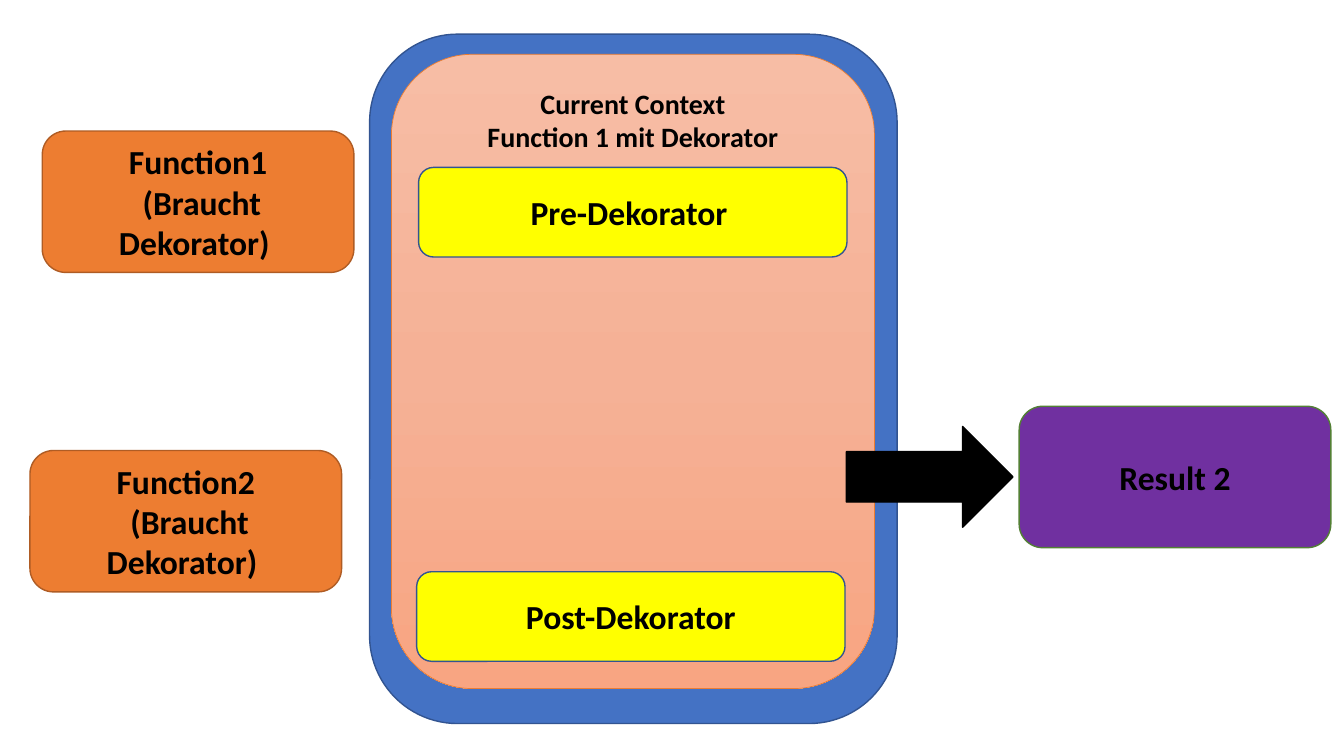
import copy

import pptx
import pptx.util
import pptx.dml.color
import pptx.enum.shapes
import pptx.enum.text

Pt = pptx.util.Pt
KIND = pptx.enum.shapes.MSO_SHAPE
ANCHOR = pptx.enum.text.MSO_ANCHOR
CENTER = pptx.enum.text.PP_ALIGN.CENTER

COLORS = {
    "blue": "4472C4", "navy": "325491", "orange": "ED7D31", "brown": "AF5C24",
    "yellow": "FFFF00", "purple": "7030A0", "green": "538035", "black": "000000",
    "pale": "F7BDA5", "mid": "F5B196", "deep": "F8A582",
}


def color(name):
    """Return the named colour."""
    return pptx.dml.color.RGBColor.from_string(COLORS[name])


def add_box(kind, box, fill, line, text="", size=24):
    """Add a filled, outlined shape with centred bold text."""
    shape = slide.shapes.add_shape(kind, *[Pt(n) for n in box])
    shape.shadow.inherit = False
    shape.fill.solid()
    shape.fill.fore_color.rgb = color(fill)
    shape.line.color.rgb = color(line)
    shape.line.width = Pt(1)
    if text:
        frame = shape.text_frame
        frame.word_wrap = True
        frame.vertical_anchor = ANCHOR.MIDDLE
        frame.text = text
        for para in frame.paragraphs:
            para.alignment = CENTER
            para.font.name = "Calibri"
            para.font.size = Pt(size)
            para.font.bold = True
            para.font.color.rgb = color("black")
    return shape


deck = pptx.Presentation()
deck.slide_width, deck.slide_height = Pt(960), Pt(540)
slide = deck.slides.add_slide(deck.slide_layouts[6])

# Context frame and its shaded panel
add_box(KIND.ROUNDED_RECTANGLE, (264, 24.4, 376.8, 492.4), "blue", "navy")
panel = add_box(KIND.ROUNDED_RECTANGLE, (279.6, 38.8, 345, 453), "pale", "orange",
                "Current Context\nFunction 1 mit Dekorator", 20)
panel.line.width = Pt(0.5)
panel.text_frame.vertical_anchor = ANCHOR.TOP
panel.text_frame.margin_top = Pt(6)
panel.fill.gradient()
panel.fill.gradient_angle = 270
last = panel._element.spPr.xpath(".//a:gs")[-1]
last.addnext(copy.deepcopy(last))
shades = [(0, "pale"), (0.5, "mid"), (1, "deep")]
for stop, (place, name) in zip(panel.fill.gradient_stops, shades):
    stop.position = place
    stop.color.rgb = color(name)

# Decorator steps
for left, top, text in [(299, 119.6, "Pre-Dekorator "), (297.6, 408.4, "Post-Dekorator")]:
    add_box(KIND.ROUNDED_RECTANGLE, (left, top, 306, 64), "yellow", "navy", text)

# Functions that need the decorator
for left, top, name in [(30.2, 93.6, "Function1"), (21.4, 321.8, "Function2")]:
    add_box(KIND.ROUNDED_RECTANGLE, (left, top, 222.6, 101), "orange", "brown",
            name + "\n (Braucht Dekorator) ")

# Result
add_box(KIND.ROUNDED_RECTANGLE, (728, 290.2, 222.6, 101), "purple", "green", "Result 2")
add_box(KIND.RIGHT_ARROW, (604.6, 304.6, 119, 72), "black", "black")

deck.save("out.pptx")
